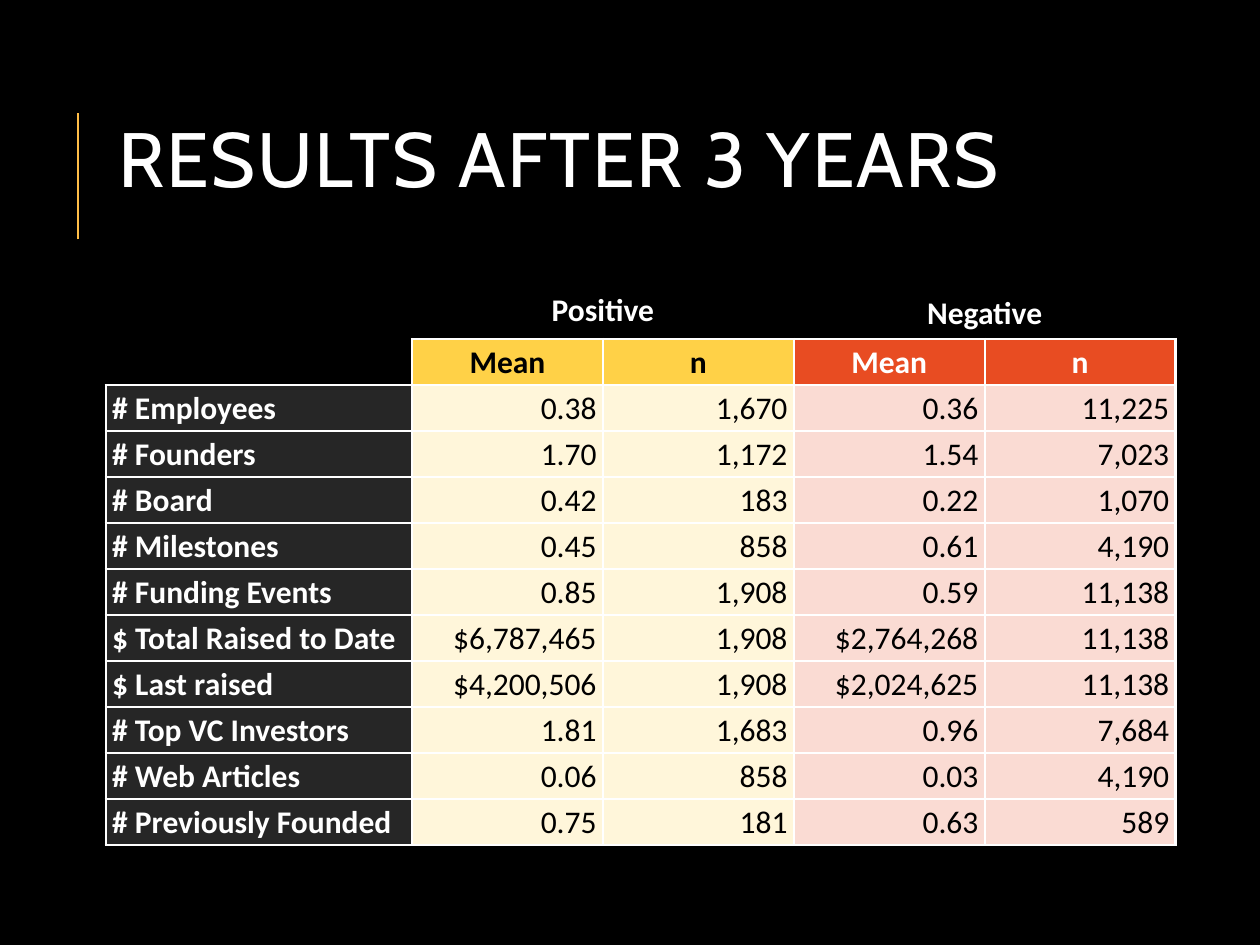
import pptx
import pptx.dml.color
import pptx.enum.shapes
import pptx.enum.text
import pptx.oxml
import pptx.oxml.ns
import pptx.util
import lxml.etree

Inches = pptx.util.Inches
Align = pptx.enum.text.PP_ALIGN
Anchor = pptx.enum.text.MSO_ANCHOR

ROWS = [
    ("", "Mean", "n", "Mean", "n"),
    ("# Employees", "0.38", "1,670", "0.36", "11,225"),
    ("# Founders", "1.70", "1,172", "1.54", "7,023"),
    ("# Board", "0.42", "183", "0.22", "1,070"),
    ("# Milestones", "0.45", "858", "0.61", "4,190"),
    ("# Funding Events", "0.85", "1,908", "0.59", "11,138"),
    ("$ Total Raised to Date", "$6,787,465", "1,908", "$2,764,268", "11,138"),
    ("$ Last raised", "$4,200,506", "1,908", "$2,024,625", "11,138"),
    ("# Top VC Investors", "1.81", "1,683", "0.96", "7,684"),
    ("# Web Articles", "0.06", "858", "0.03", "4,190"),
    ("# Previously Founded", "0.75", "181", "0.63", "589"),
]


def color(value):
    return pptx.dml.color.RGBColor.from_string(value)


def write(frame, text, size=18, font="Calibri", ink="FFFFFF", bold=False,
          align=Align.LEFT, line_spacing=None, tracking=None):
    para = frame.paragraphs[0]
    para.alignment = align
    para.line_spacing = line_spacing
    para.font.size = pptx.util.Pt(size)
    if not text:
        return
    span = para.add_run()
    span.text = text
    span.font.size = pptx.util.Pt(size)
    span.font.name = font
    span.font.bold = bold
    span.font.color.rgb = color(ink)
    if tracking:
        span._r.get_or_add_rPr().set("spc", str(tracking * 100))


class ResultsSlide:
    """Holds the slide style and draws each kind of element on the page."""

    white, black, accent = "FFFFFF", "000000", "FFBD47"
    label_fill = "262626"
    header_fills = ("FFD147", "E84C22")
    header_inks = ("000000", "FFFFFF")
    body_fills = ("FFF6DA", "FADBD3")
    line_width = pptx.util.Pt(1.5)

    def __init__(self, deck):
        self.page = deck.slides.add_slide(deck.slide_layouts[6])
        self.page.background.fill.solid()
        self.page.background.fill.fore_color.rgb = color(self.black)

    def line(self, x1, y1, x2, y2):
        rule = self.page.shapes.add_connector(
            pptx.enum.shapes.MSO_CONNECTOR.STRAIGHT,
            Inches(x1), Inches(y1), Inches(x2), Inches(y2))
        rule.line.color.rgb = color(self.accent)
        rule.line.width = self.line_width
        lxml.etree.SubElement(rule._element.spPr, pptx.oxml.ns.qn("a:effectLst"))

    def text(self, left, top, width, height, words, anchor=Anchor.TOP,
             bottom=0.05, **style):
        box = self.page.shapes.add_textbox(
            Inches(left), Inches(top), Inches(width), Inches(height))
        frame = box.text_frame
        frame.word_wrap = True
        frame.vertical_anchor = anchor
        frame.margin_bottom = Inches(bottom)
        write(frame, words, **style)

    def border(self, cell, visible):
        properties = cell._tc.get_or_add_tcPr()
        for index, side in enumerate("LRTB"):
            paint = (f'<a:solidFill><a:srgbClr val="{self.white}"/></a:solidFill>'
                     if side in visible else "<a:noFill/>")
            properties.insert(index, pptx.oxml.parse_xml(
                f'<a:ln{side} {pptx.oxml.ns.nsdecls("a")} '
                f'w="{self.line_width}">{paint}</a:ln{side}>'))

    def cell_style(self, row, column):
        group = (column - 1) // 2
        if column == 0:
            fill = self.label_fill if row else self.black
            return fill, self.white, True, Align.LEFT
        if row == 0:
            return self.header_fills[group], self.header_inks[group], True, Align.CENTER
        return self.body_fills[group], self.black, False, Align.RIGHT

    def table(self, left, top, widths, height, rows):
        table = self.page.shapes.add_table(
            len(rows), len(widths), Inches(left), Inches(top),
            Inches(sum(widths)), Inches(height)).table
        table.first_row = table.horz_banding = False
        for column, width in zip(table.columns, widths):
            column.width = Inches(width)
        for r, values in enumerate(rows):
            for c, value in enumerate(values):
                cell = table.cell(r, c)
                fill, ink, bold, align = self.cell_style(r, c)
                cell.fill.solid()
                cell.fill.fore_color.rgb = color(fill)
                cell.vertical_anchor = Anchor.MIDDLE
                cell.margin_left = Inches(0.05 if align == Align.LEFT else 0.01)
                cell.margin_right = Inches(0.05 if align == Align.RIGHT else 0.01)
                cell.margin_top, cell.margin_bottom = Inches(0.01), 0
                self.border(cell, "LRTB" if r or c else "RB")
                write(cell.text_frame, value, ink=ink, bold=bold, align=align)


def main():
    deck = pptx.Presentation()
    deck.slide_width, deck.slide_height = Inches(10), Inches(7.5)
    slide = ResultsSlide(deck)
    slide.line(0.62, 1.9, 0.62, 0.9)
    slide.text(0.84, 0.64, 7.97, 1.64, "RESULTS AFTER 3 YEARS",
               anchor=Anchor.MIDDLE, bottom=0.35, size=44, font="Cabin",
               line_spacing=0.8, tracking=1)
    slide.table(0.84, 2.69, [2.43] + [1.515] * 4, 4.02, ROWS)
    for left, top, name in ((3.27, 2.25, "Positive"), (6.3, 2.28, "Negative")):
        slide.text(left, top, 3.03, 0.4, name, bold=True, align=Align.CENTER)
    deck.save("out.pptx")


if __name__ == "__main__":
    main()
